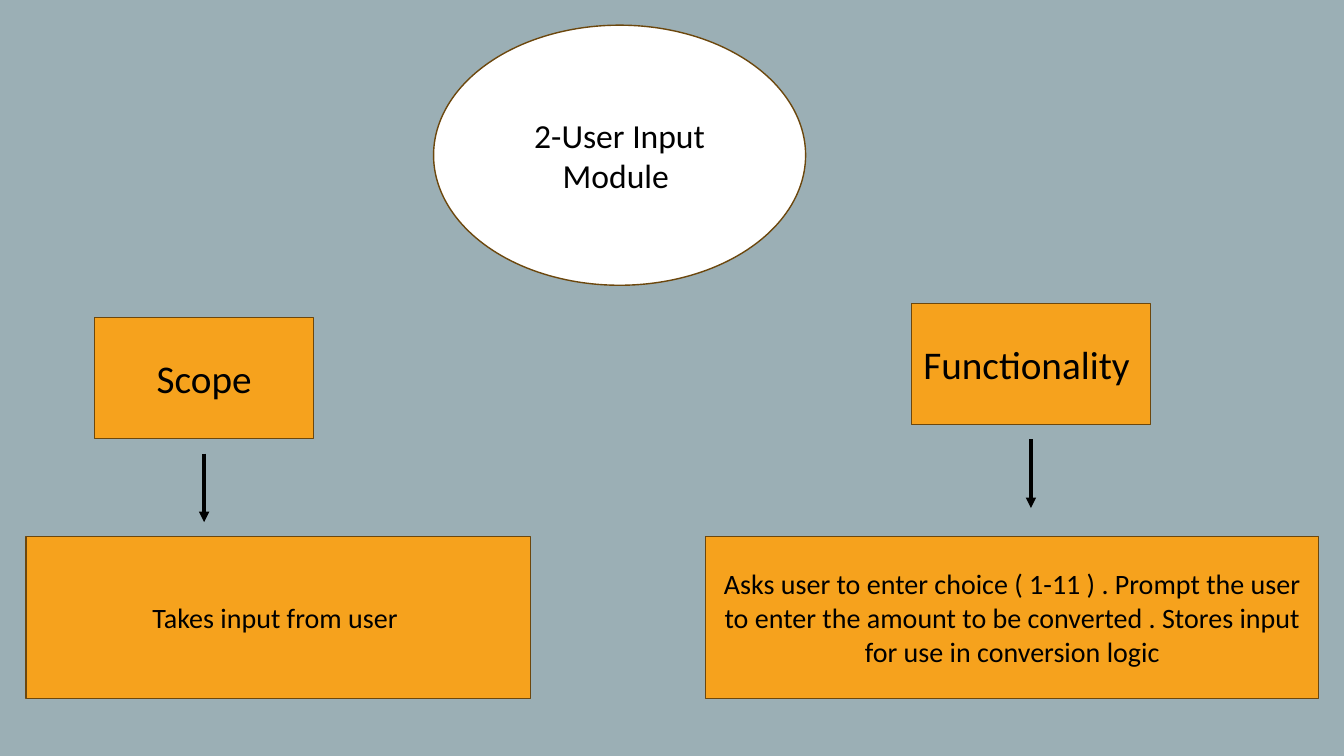
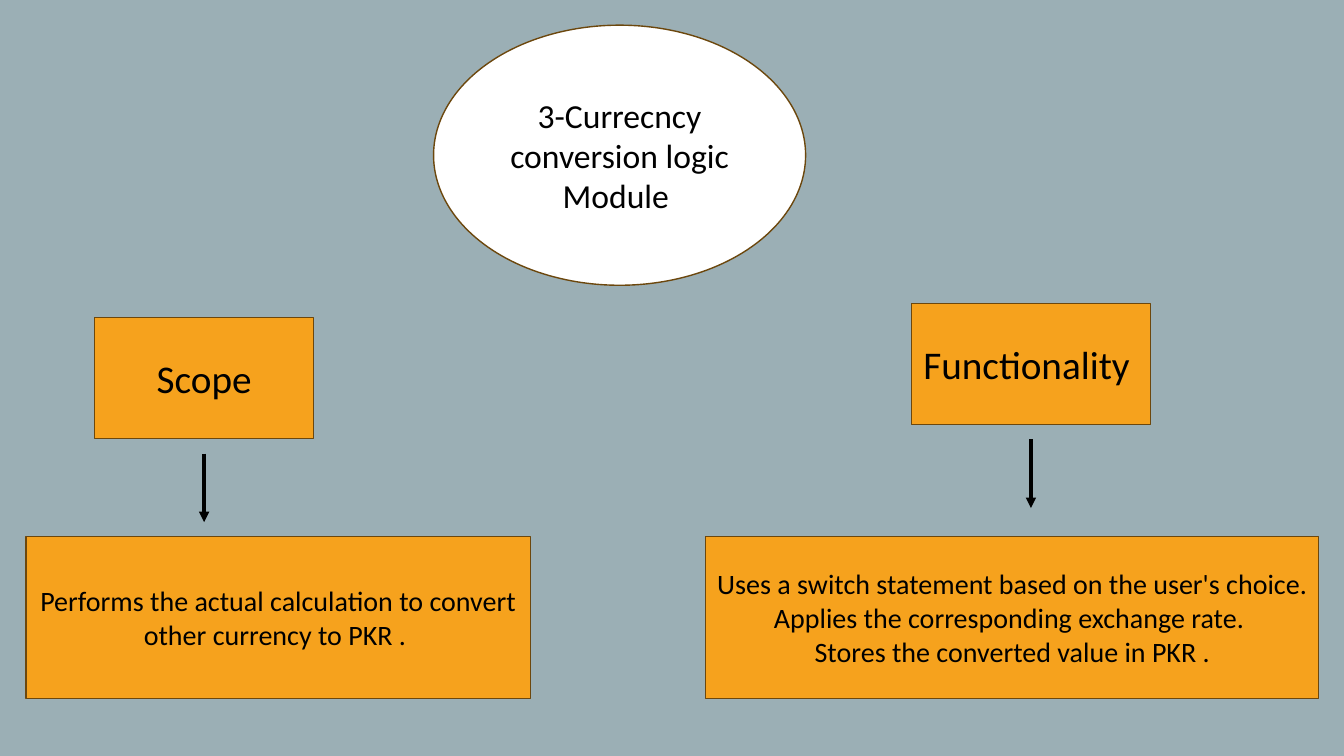
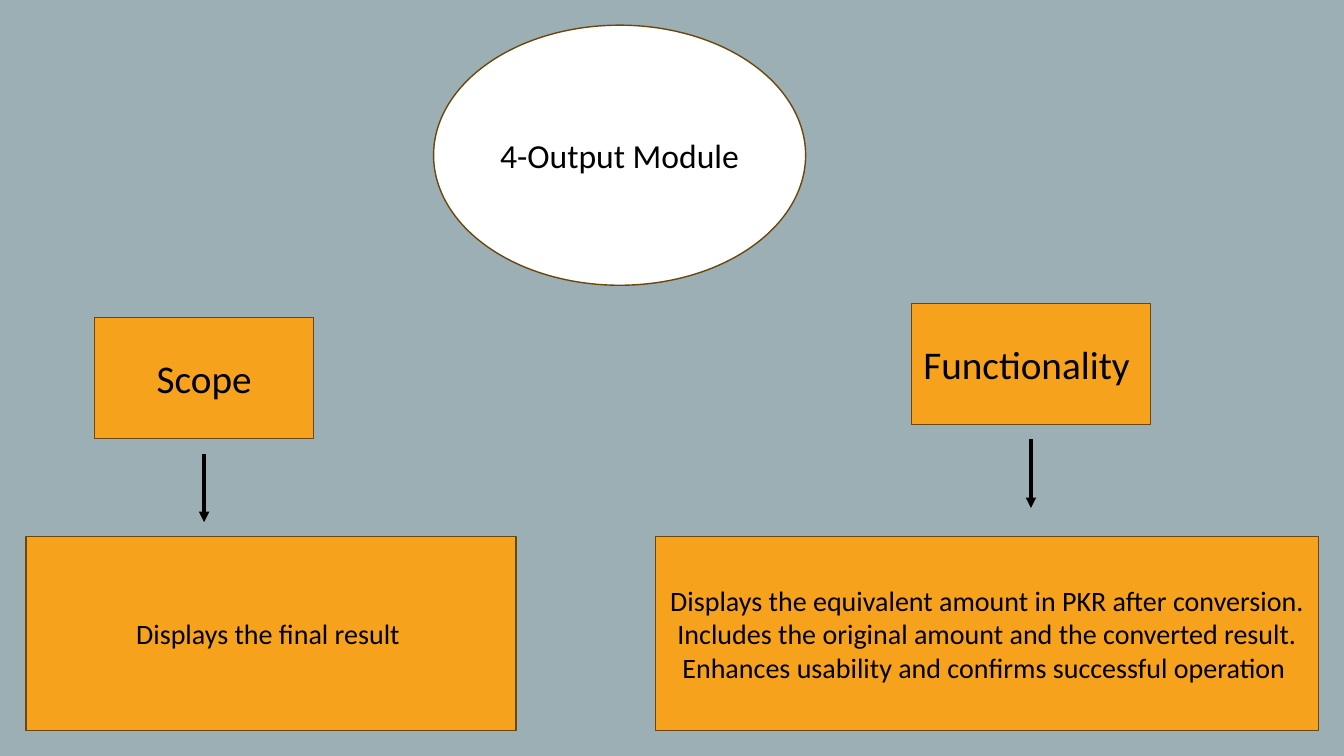
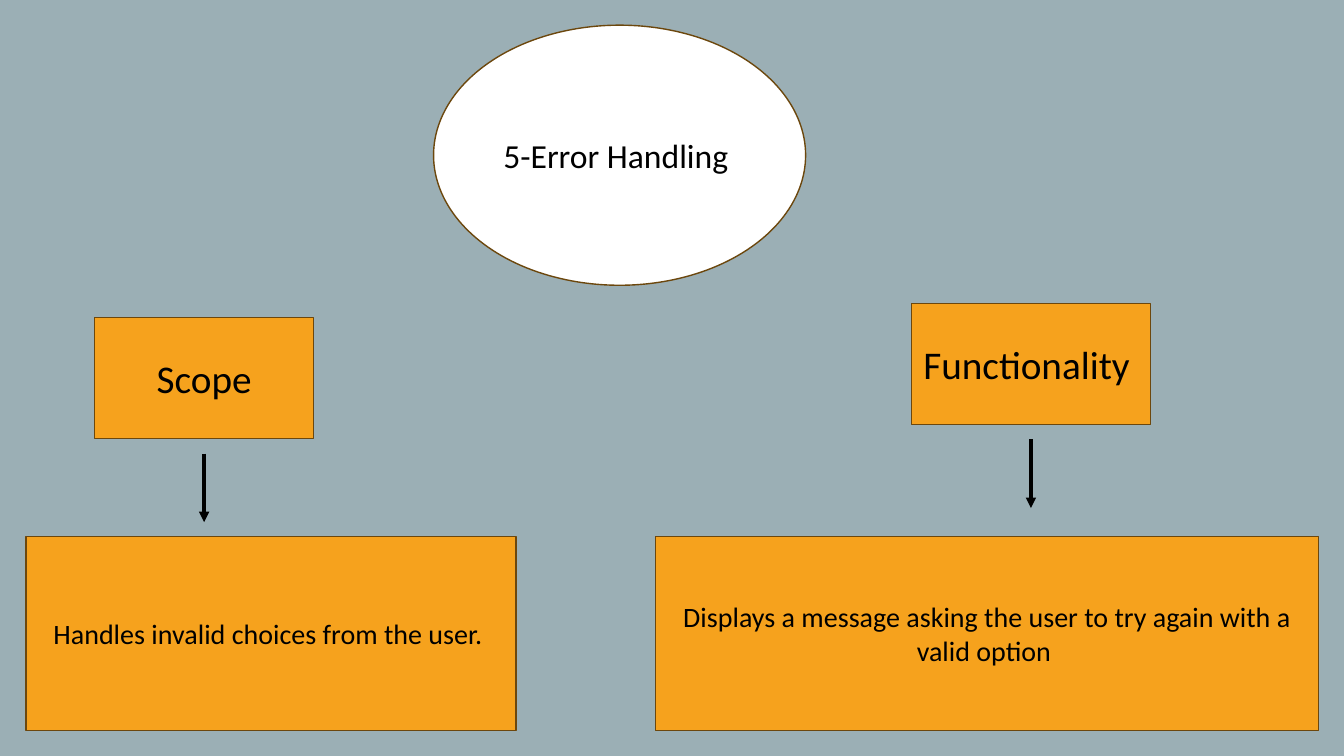
from lxml import etree
from pptx import Presentation
from pptx.dml.color import RGBColor
from pptx.enum import shapes, text
from pptx.oxml.ns import qn
from pptx.util import Inches, Pt

COLORS = {
    "background": "9BAFB5",
    "title": "FFFFFF",
    "box": "F6A21D",
    "outline": "6C470D",
    "ink": "000000",
}
FONT = "Calibri"
OVAL = shapes.MSO_SHAPE.OVAL
RECTANGLE = shapes.MSO_SHAPE.RECTANGLE

# Body sizes: scope width, functionality width, height
COMPACT = (5, 6.08, 1.61)
TALL = (4.86, 6.58, 1.93)

# Title, scope, functionality, body sizes
MODULES = [
    (
        "2-User Input Module ",
        "Takes input from user ",
        "Asks user to enter choice ( 1-11 ) . Prompt the user to enter the amount "
        "to be converted . Stores input for use in conversion logic",
        COMPACT,
    ),
    (
        "3-Currecncy conversion logic Module ",
        "Performs the actual calculation to convert other currency to PKR . ",
        "Uses a switch statement based on the user's choice. Applies the "
        "corresponding exchange rate. \vStores the converted value in PKR .",
        COMPACT,
    ),
    (
        "4-Output Module ",
        "Displays the final result ",
        "Displays the equivalent amount in PKR after conversion.\n"
        "Includes the original amount and the converted result. Enhances usability "
        "and confirms successful operation ",
        TALL,
    ),
    (
        "5-Error Handling ",
        "Handles invalid choices from the user. ",
        "Displays a message asking the user to try again with a valid option ",
        TALL,
    ),
]

# Left, top, width, height in inches
TITLE_OVAL = (4.3, 0.25, 3.69, 2.58)
SCOPE_HEADING = (0.94, 3.15, 2.17, 1.2)
FUNCTIONALITY_HEADING = (9.04, 3.01, 2.37, 1.2)
BODY_TOP, BODY_LEFT, BODY_RIGHT = 5.32, 0.26, 13.08
ARROW_GAP, ARROW_LENGTH = 0.15, 0.68


def rgb(name):
    return RGBColor.from_string(COLORS[name])


def add_label(slide, preset, box, words, size, fill="box"):
    """Add an outlined shape with centred text."""
    shape = slide.shapes.add_shape(preset, *map(Inches, box))
    shape.shadow.inherit = False
    shape.fill.solid()
    shape.fill.fore_color.rgb = rgb(fill)
    shape.line.color.rgb = rgb("outline")
    shape.line.width = Pt(1)
    frame = shape.text_frame
    frame.word_wrap = True
    frame.vertical_anchor = text.MSO_ANCHOR.MIDDLE
    frame.text = words
    for paragraph in frame.paragraphs:
        paragraph.alignment = text.PP_ALIGN.CENTER
        paragraph.font.name = FONT
        paragraph.font.size = Pt(size)
        paragraph.font.color.rgb = rgb("ink")


def add_arrow_below(slide, box):
    left, top, width, height = box
    x = Inches(left + width / 2)
    start = top + height + ARROW_GAP
    arrow = slide.shapes.add_connector(
        shapes.MSO_CONNECTOR.STRAIGHT, x, Inches(start), x, Inches(start + ARROW_LENGTH)
    )
    arrow.line.color.rgb = rgb("ink")
    arrow.line.width = Pt(2.5)
    etree.SubElement(arrow.line._get_or_add_ln(), qn("a:tailEnd"), type="triangle")
    etree.SubElement(arrow._element.spPr, qn("a:effectLst"))


def add_branch(slide, heading, heading_box, body, body_box):
    """Add a heading, its arrow and the body box under it."""
    add_label(slide, RECTANGLE, heading_box, heading, 28)
    add_arrow_below(slide, heading_box)
    add_label(slide, RECTANGLE, body_box, body, 20)


def main():
    presentation = Presentation()
    presentation.slide_width = Inches(13.33)
    presentation.slide_height = Inches(7.5)
    background = presentation.slide_master.background.fill
    background.solid()
    background.fore_color.rgb = rgb("background")

    for title, scope, functionality, sizes in MODULES:
        scope_width, functionality_width, height = sizes
        slide = presentation.slides.add_slide(presentation.slide_layouts[6])
        add_label(slide, OVAL, TITLE_OVAL, title, 24, fill="title")
        add_branch(slide, "Scope", SCOPE_HEADING, scope,
                   (BODY_LEFT, BODY_TOP, scope_width, height))
        add_branch(slide, "Functionality ", FUNCTIONALITY_HEADING, functionality,
                   (BODY_RIGHT - functionality_width, BODY_TOP, functionality_width, height))

    presentation.save("out.pptx")


if __name__ == "__main__":
    main()
